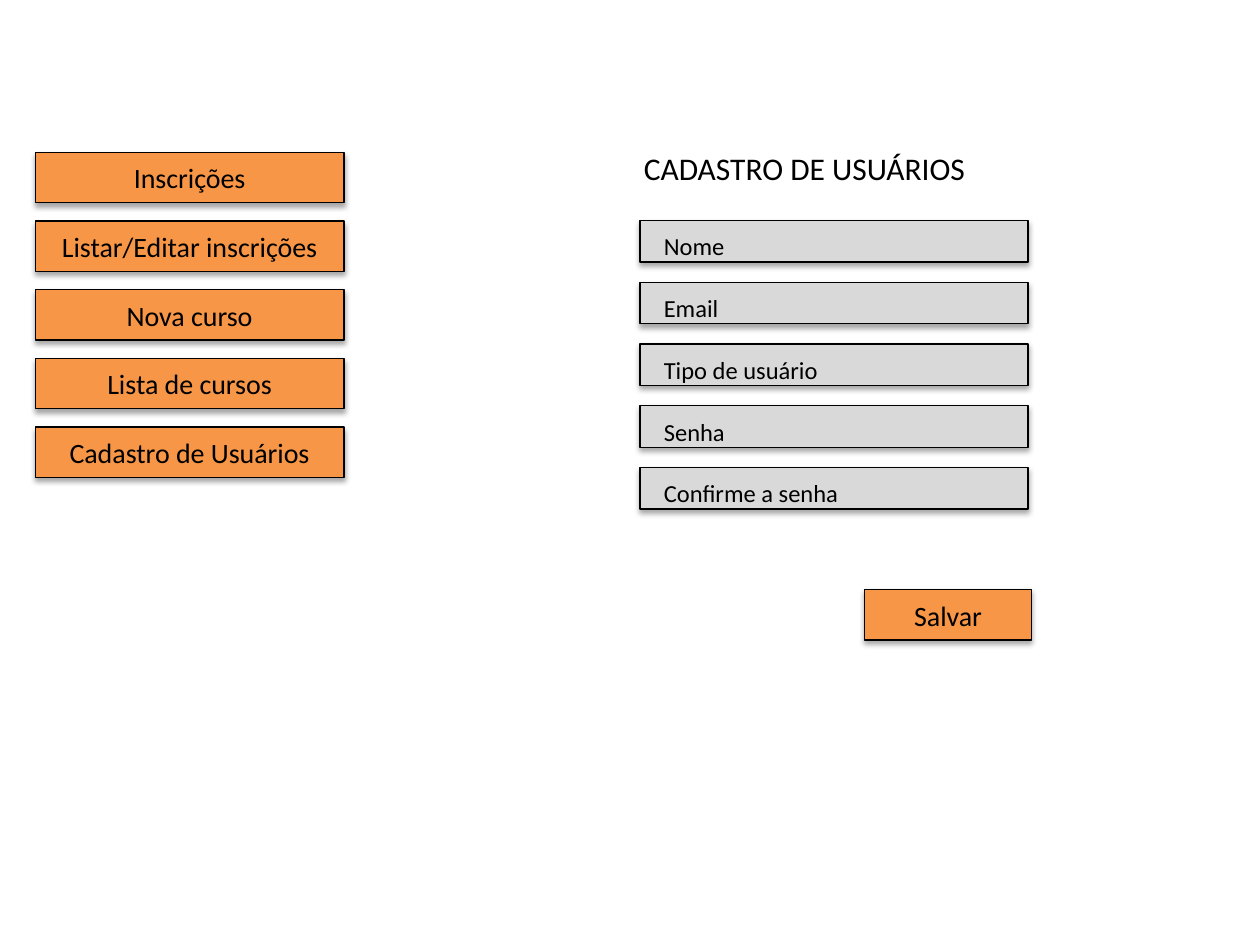
from pptx import Presentation
from pptx.dml.color import RGBColor
from pptx.enum.shapes import MSO_SHAPE
from pptx.enum.text import MSO_ANCHOR, MSO_AUTO_SIZE, PP_ALIGN
from pptx.util import Inches, Pt

RECT = MSO_SHAPE.RECTANGLE
MIDDLE = MSO_ANCHOR.MIDDLE
FIXED = MSO_AUTO_SIZE.NONE
GROW = MSO_AUTO_SIZE.SHAPE_TO_FIT_TEXT
LEFT, CENTER = PP_ALIGN.LEFT, PP_ALIGN.CENTER

BLACK = RGBColor(0, 0, 0)
GRAY = RGBColor(0xD9, 0xD9, 0xD9)
ORANGE = RGBColor(0xF7, 0x96, 0x46)

MENU = ["Inscrições", "Listar/Editar inscrições", "Nova curso",
        "Lista de cursos", "Cadastro de Usuários"]
FIELDS = ["Nome", "Email", "Tipo de usuário", "Senha", "Confirme a senha"]


def style(para, size, align):
    para.alignment = align
    para.font.name = "Calibri"
    para.font.size = Pt(size)
    para.font.color.rgb = BLACK


def add_box(slide, x, y, w, h, color):
    box = slide.shapes.add_shape(RECT, Inches(x), Inches(y), Inches(w), Inches(h))
    box.fill.solid()
    box.fill.fore_color.rgb = color
    box.line.color.rgb = BLACK
    box.line.width = Pt(0.75)
    return box


def add_button(slide, text, x, y, w, h):
    frame = add_box(slide, x, y, w, h, ORANGE).text_frame
    frame.text = text
    frame.vertical_anchor = MIDDLE
    style(frame.paragraphs[0], 16, CENTER)


def add_menu(slide, x, y, w, h):
    high = 0.4
    step = (h - high) / (len(MENU) - 1)
    for i, text in enumerate(MENU):
        add_button(slide, text, x, y + i * step, w, high)


def add_title(slide, x, y, w, h):
    title = slide.shapes.title
    title.left, title.top = Inches(x), Inches(y)
    title.width, title.height = Inches(w), Inches(h)
    frame = title.text_frame
    frame.text = "CADASTRO DE USUÁRIOS"
    frame.word_wrap = False
    frame.auto_size = FIXED
    style(frame.paragraphs[0], 18, LEFT)


def add_form(slide, x, y, w, h):
    high = 0.33
    step = (h - high) / (len(FIELDS) - 1)
    for i in range(len(FIELDS)):
        add_box(slide, x, y + i * step, w, high, GRAY)

    label = slide.shapes.add_textbox(
        Inches(x + 0.09), Inches(y - 0.22), Inches(1.6), Inches(h + 0.28))
    frame = label.text_frame
    frame.text = "\n".join(FIELDS)
    frame.word_wrap = False
    frame.auto_size = GROW
    for para in frame.paragraphs:
        style(para, 14, LEFT)
        para.line_spacing = 2.1


def main():
    deck = Presentation()
    deck.slide_width, deck.slide_height = Inches(10), Inches(7.5)
    slide = deck.slides.add_slide(deck.slide_layouts[5])
    add_title(slide, 5.01, 1.13, 2.79, 0.4)
    add_menu(slide, 0.28, 1.21, 2.45, 2.58)
    add_form(slide, 5.08, 1.75, 3.08, 2.29)
    add_button(slide, "Salvar", 6.86, 4.68, 1.33, 0.4)
    deck.save("out.pptx")


if __name__ == "__main__":
    main()
